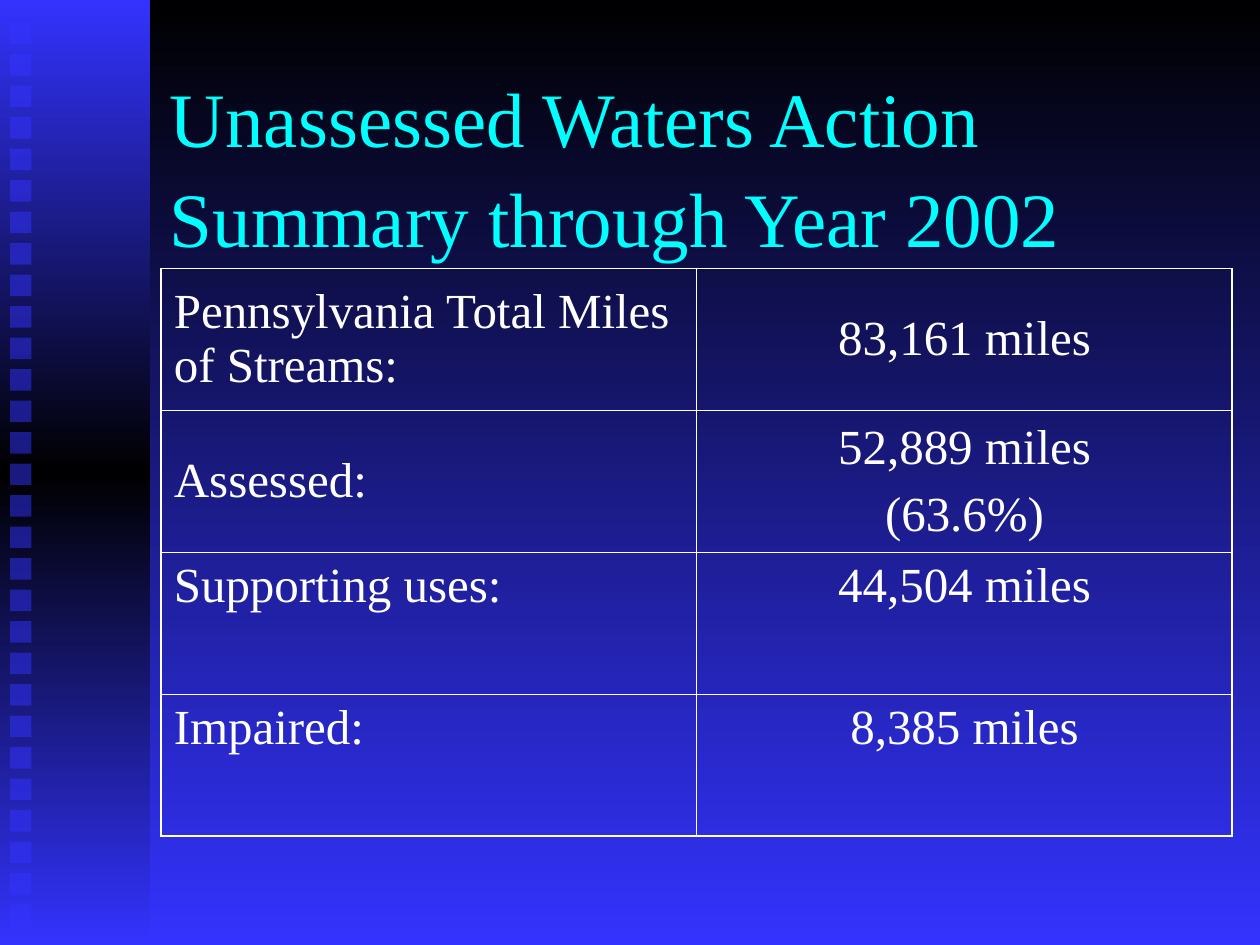
from dataclasses import dataclass
from typing import Any

import pptx
import pptx.dml.color
import pptx.enum.shapes
import pptx.enum.text
import pptx.oxml
import pptx.oxml.ns
import pptx.util
from pptx.util import Inches

qn = pptx.oxml.ns.qn
ALIGN = pptx.enum.text.PP_ALIGN
ANCHOR = pptx.enum.text.MSO_ANCHOR


@dataclass(frozen=True)
class Theme:
    font: str = "Times New Roman"
    dark: str = "000000"
    blue: str = "3333FF"
    title: str = "00FFFF"
    text: str = "FFFFFF"
    title_size: int = 44
    body_size: int = 28
    outer_line: float = 1.08
    inner_line: float = 0.45


@dataclass(frozen=True)
class StreamRow:
    label: str
    miles: tuple[str, ...]
    anchor: Any


THEME = Theme()
ROWS = (
    StreamRow("Pennsylvania Total Miles of Streams:", ("83,161 miles",), ANCHOR.MIDDLE),
    StreamRow("Assessed:", ("52,889 miles", "(63.6%)"), ANCHOR.MIDDLE),
    StreamRow("Supporting uses:", ("44,504 miles",), ANCHOR.TOP),
    StreamRow("Impaired:", ("8,385 miles",), ANCHOR.TOP),
)
SQUARE_COUNT = 29


def rgb(value: str) -> pptx.dml.color.RGBColor:
    return pptx.dml.color.RGBColor.from_string(value)


def apply(target: Any, formats: dict[str, Any]) -> None:
    for name, value in formats.items():
        setattr(target, name, value)


def fill_gradient(fill: Any, owner: Any, colors: tuple[str, ...]) -> None:
    """Fill from top to bottom with evenly spaced colours."""
    fill.gradient()
    fill.gradient_angle = 270
    stops = owner.find(".//" + qn("a:gsLst"))
    for stop in list(stops):
        stops.remove(stop)
    for index, color in enumerate(colors):
        position = index * 100000 // (len(colors) - 1)
        stops.append(pptx.oxml.parse_xml(
            f'<a:gs {pptx.oxml.ns.nsdecls("a")} pos="{position}">'
            f'<a:srgbClr val="{color}"/></a:gs>'))


def add_block(slide: Any, left: float, top: float, width: float, height: float) -> Any:
    block = slide.shapes.add_shape(
        pptx.enum.shapes.MSO_SHAPE.RECTANGLE,
        Inches(left), Inches(top), Inches(width), Inches(height))
    block.shadow.inherit = False
    block.line.fill.background()
    return block


def write_lines(frame: Any, lines: tuple[str, ...], size: int, color: str,
                paragraph_format: dict[str, Any]) -> None:
    for index, line in enumerate(lines):
        paragraph = frame.add_paragraph() if index else frame.paragraphs[0]
        paragraph.text = line
        apply(paragraph, paragraph_format)
        if index:
            paragraph.space_before = pptx.util.Pt(7)
        apply(paragraph.font, {"name": THEME.font, "size": pptx.util.Pt(size)})
        paragraph.font.color.rgb = rgb(color)


def draw_sidebar(slide: Any) -> None:
    band = add_block(slide, 0, 0, 1.19, 7.5)
    fill_gradient(band.fill, band._element, (THEME.blue, THEME.dark, THEME.blue))
    for index in range(SQUARE_COUNT):
        square = add_block(slide, 0.08, 0.18 + 0.25 * index, 0.17, 0.17)
        square.fill.solid()
        square.fill.fore_color.rgb = rgb(THEME.blue)
        color = square._element.spPr.find(".//" + qn("a:srgbClr"))
        color.append(pptx.oxml.parse_xml(
            f'<a:alpha {pptx.oxml.ns.nsdecls("a")} val="50000"/>'))


def draw_title(slide: Any, title: str) -> None:
    frame = slide.shapes.add_textbox(
        Inches(1.25), Inches(0.67), Inches(8.5), Inches(1.25)).text_frame
    apply(frame, {"word_wrap": True, "vertical_anchor": ANCHOR.MIDDLE})
    write_lines(frame, (title,), THEME.title_size, THEME.title,
                {"line_spacing": 1.08})


def border_cell(cell: Any, outer: dict[str, bool]) -> None:
    cell.fill.background()
    properties = cell._tc.get_or_add_tcPr()
    for index, (side, is_outer) in enumerate(outer.items()):
        width = pptx.util.Pt(THEME.outer_line if is_outer else THEME.inner_line)
        properties.insert(index, pptx.oxml.parse_xml(
            f'<a:ln{side} {pptx.oxml.ns.nsdecls("a")} w="{int(width)}"><a:solidFill>'
            f'<a:srgbClr val="{THEME.text}"/></a:solidFill></a:ln{side}>'))


def draw_table(slide: Any, rows: tuple[StreamRow, ...]) -> None:
    table = slide.shapes.add_table(
        len(rows), 2, Inches(1.28), Inches(2.13), Inches(8.5), Inches(4.5)).table
    apply(table, {"first_row": False, "horz_banding": False})
    last = len(rows) - 1
    for index, row in enumerate(rows):
        columns = (((row.label,), ALIGN.LEFT), (row.miles, ALIGN.CENTER))
        for column, (lines, alignment) in enumerate(columns):
            cell = table.cell(index, column)
            cell.vertical_anchor = row.anchor
            write_lines(cell.text_frame, lines, THEME.body_size, THEME.text,
                        {"alignment": alignment})
            border_cell(cell, {"L": column == 0, "R": column == 1,
                               "T": index == 0, "B": index == last})


def main() -> None:
    deck = pptx.Presentation()
    apply(deck, {"slide_width": Inches(10), "slide_height": Inches(7.5)})
    slide = deck.slides.add_slide(deck.slide_layouts[6])

    # Background and sidebar
    fill_gradient(slide.background.fill, slide._element, (THEME.dark, THEME.blue))
    draw_sidebar(slide)

    # Title and stream mileage
    draw_title(slide, "Unassessed Waters Action Summary through Year 2002")
    draw_table(slide, ROWS)

    deck.save("out.pptx")


if __name__ == "__main__":
    main()
